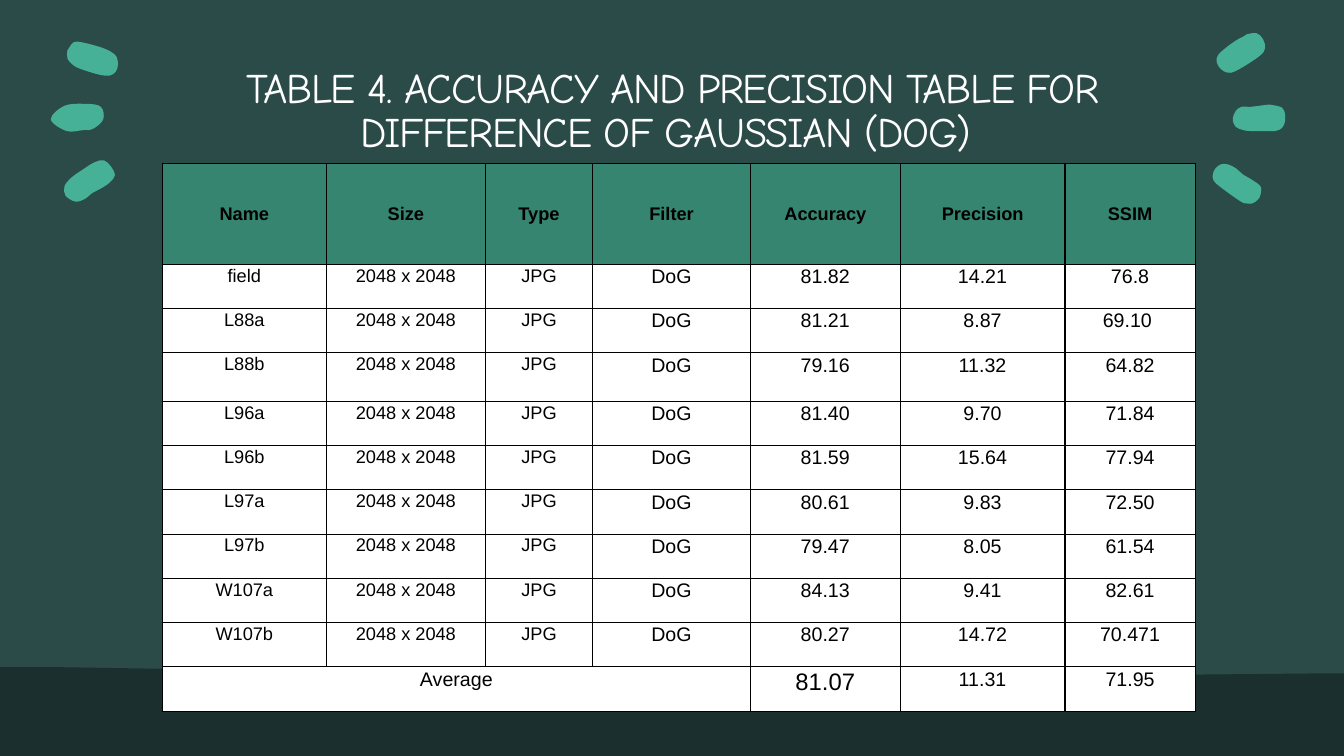
import pptx
import pptx.dml.color
import pptx.enum.shapes
import pptx.enum.text
import pptx.oxml
import pptx.oxml.ns
import pptx.util

Pt = pptx.util.Pt
RGBColor = pptx.dml.color.RGBColor
CENTER = pptx.enum.text.PP_ALIGN.CENTER
TOP = pptx.enum.text.MSO_ANCHOR.TOP

GROUND = RGBColor(0x1B, 0x2F, 0x2E)
WALL = RGBColor(0x2B, 0x4B, 0x49)
MINT = RGBColor(0x46, 0xB1, 0x96)
HEADER = RGBColor(0x35, 0x85, 0x70)
WHITE = RGBColor(0xFF, 0xFF, 0xFF)
BLACK = RGBColor(0x00, 0x00, 0x00)

TITLE = "TABLE 4. ACCURACY AND PRECISION TABLE FOR DIFFERENCE OF GAUSSIAN (DOG) "
HEADINGS = ["Name", "Size", "Type", "Filter", "Accuracy", "Precision", "SSIM"]
RESULTS = [
    ("field", "81.82", "14.21", "76.8"),
    ("L88a", "81.21", "8.87", "69.10 "),
    ("L88b", "79.16", "11.32", "64.82"),
    ("L96a", "81.40", "9.70", "71.84"),
    ("L96b", "81.59", "15.64", "77.94"),
    ("L97a", "80.61", "9.83", "72.50"),
    ("L97b", "79.47", "8.05", "61.54"),
    ("W107a", "84.13", "9.41", "82.61"),
    ("W107b", "80.27", "14.72", "70.471"),
]
AVERAGES = ["81.07", "11.31", "71.95"]
COLUMN_WIDTHS = [117.2, 113.6, 76.6, 112.8, 106.9, 117.8, 93]
ROW_HEIGHT = 31.62

GROUND_OUTLINE = [
    (0, 476.6), (43.9, 476.6), (231.8, 479.5), (331.9, 483.1), (396.7, 479.5),
    (576.7, 479.5), (727.2, 483.1), (943.9, 481), (960, 481), (960, 540), (0, 540),
]
DABS = [
    [(78.5, 130.3), (73.4, 133.9), (65.5, 138.2), (61.2, 141.8), (54, 144),
     (46.8, 139.7), (46.1, 133.2), (50.4, 127.4), (56.2, 123.1), (60.5, 120.2),
     (67.7, 115.9), (74.2, 114.5), (79.2, 118.8), (82.1, 125.3)],
    [(66.2, 92.2), (59.8, 92.9), (47.5, 93.6), (36.3, 85.2),
     (46.1, 75.6), (61.2, 74.2), (72, 76.3), (73.7, 85.3)],
    [(58.3, 30.2), (52.6, 30.2), (49.7, 33.8), (48.2, 36), (48.2, 41.8),
     (51.8, 46.1), (56.9, 49), (70.6, 53.3), (78.5, 54), (82.8, 51.1),
     (84.2, 46.8), (83.5, 41), (79.9, 37.4), (72, 33.8)],
    [(910.8, 93.6), (902.9, 93.6), (892.8, 93.6), (887.8, 92.9), (882.7, 90.7),
     (880.6, 86.4), (880.6, 84.2), (882.7, 79.2), (887, 76.3), (893.5, 76.3),
     (905, 74.9), (907.9, 74.9), (915.8, 77), (918, 82.1), (918, 86.4), (915.8, 91.4)],
    [(872.6, 36.7), (882, 29.5), (888.5, 25.9), (890.6, 24.5), (897.8, 23.8),
     (902.2, 28.1), (903.6, 34.6), (899.3, 40.3), (883.4, 50.4), (876.2, 51.8),
     (870.5, 47.5), (869, 41.8)],
    [(866.9, 128.9), (866.2, 125.3), (866.9, 122.4), (868.3, 120.2), (871.9, 117.4),
     (877, 117.4), (882.7, 120.2), (887.8, 124.6), (895, 128.9), (900.7, 133.9),
     (899.3, 141.8), (894.2, 145.4), (891.4, 145.4), (886.3, 144), (871.2, 133.2)],
]


def paint(shape, color):
    shape.shadow.inherit = False
    shape.fill.solid()
    shape.fill.fore_color.rgb = color
    shape.line.fill.background()


def add_outline(slide, points, color):
    points = [(Pt(x), Pt(y)) for x, y in points]
    builder = slide.shapes.build_freeform(*points[0])
    builder.add_line_segments(points[1:], close=True)
    shape = builder.convert_to_shape()
    paint(shape, color)
    return shape


def round_outline(shape):
    corners = shape.element.xpath(".//a:path//a:pt")
    points = [(int(corner.get("x")), int(corner.get("y"))) for corner in corners]
    count = len(points)
    closing = shape.element.xpath(".//a:path/a:close")[0]
    for line in shape.element.xpath(".//a:path/a:lnTo"):
        line.getparent().remove(line)
    for index in range(count):
        before, start, end, after = [points[(index + offset) % count] for offset in (-1, 0, 1, 2)]
        leaving = [s + (e - b) // 6 for b, s, e in zip(before, start, end)]
        arriving = [e - (a - s) // 6 for s, e, a in zip(start, end, after)]
        handles = "".join(f'<a:pt x="{x}" y="{y}"/>' for x, y in (leaving, arriving, end))
        closing.addprevious(pptx.oxml.parse_xml(
            f'<a:cubicBezTo {pptx.oxml.ns.nsdecls("a")}>{handles}</a:cubicBezTo>'))


def add_wall(slide, width, height):
    rectangle = pptx.enum.shapes.MSO_SHAPE.RECTANGLE
    wall = slide.shapes.add_shape(rectangle, 0, 0, width, height)
    paint(wall, WALL)
    slide.shapes.element.insert(2, wall.element)


def write(paragraph, text, size, font, color, bold=False):
    paragraph.alignment = CENTER
    run = paragraph.add_run()
    run.text = text
    run.font.size = Pt(size)
    run.font.name = font
    run.font.bold = bold
    run.font.color.rgb = color
    return run


def fill_title(slide):
    title = slide.shapes.title
    title.left, title.top, title.width, title.height = Pt(106.6), Pt(48.6), Pt(747.4), Pt(38.9)
    frame = title.text_frame
    frame.margin_left = frame.margin_right = frame.margin_top = frame.margin_bottom = 0
    frame.word_wrap = True
    frame.auto_size = pptx.enum.text.MSO_AUTO_SIZE.NONE
    frame.vertical_anchor = TOP
    paragraph = frame.paragraphs[0]
    paragraph.line_spacing = 0.88
    paragraph.space_before = Pt(0)
    run = write(paragraph, TITLE, 30, "Comic Neue", WHITE)
    run.font._element.set("spc", "-100")
    paragraph.add_line_break()


def add_borders(cell):
    properties = cell._tc.get_or_add_tcPr()
    for position, side in enumerate(("lnL", "lnR", "lnT", "lnB")):
        properties.insert(position, pptx.oxml.parse_xml(
            f'<a:{side} {pptx.oxml.ns.nsdecls("a")} w="12700"><a:solidFill>'
            f'<a:srgbClr val="{BLACK}"/></a:solidFill></a:{side}>'))


def fill_cell(cell, text, size, header=False, narrow=False):
    cell.margin_left = cell.margin_right = Pt(4.3 if narrow else 7.2)
    cell.margin_top = cell.margin_bottom = 0
    cell.vertical_anchor = TOP
    paragraph = cell.text_frame.paragraphs[0]
    paragraph.line_spacing = 3.0 if header else 1.07
    paragraph.space_before = Pt(0 if narrow else 12)
    paragraph.space_after = Pt(8)
    write(paragraph, text, size, "Arial", BLACK, header)


def add_results_table(slide):
    heights = [72] + [ROW_HEIGHT] * (len(RESULTS) + 1)
    heights[3] = 34.8
    frame = slide.shapes.add_table(
        len(heights), len(HEADINGS), Pt(115.9), Pt(116.7),
        Pt(sum(COLUMN_WIDTHS)), Pt(sum(heights)))
    table = frame.table
    for column, width in zip(table.columns, COLUMN_WIDTHS):
        column.width = Pt(width)
    for row, height in zip(table.rows, heights):
        row.height = Pt(height)
    for row_index, row in enumerate(table.rows):
        for cell in row.cells:
            cell.fill.solid()
            cell.fill.fore_color.rgb = WHITE if row_index else HEADER
            add_borders(cell)
    for column_index, heading in enumerate(HEADINGS):
        fill_cell(table.cell(0, column_index), heading, 13, header=True)
    for row_index, (name, *scores) in enumerate(RESULTS, 1):
        for column_index, text in enumerate([name, "2048 x 2048", "JPG", "DoG", *scores]):
            fill_cell(table.cell(row_index, column_index), text,
                      13 if column_index < 3 else 14, narrow=column_index > 3)
    last = len(heights) - 1
    table.cell(last, 0).merge(table.cell(last, 3))
    fill_cell(table.cell(last, 0), "Average", 14)
    for column_index, average in enumerate(AVERAGES, 4):
        fill_cell(table.cell(last, column_index), average,
                  17 if column_index == 4 else 14, narrow=True)


def main():
    presentation = pptx.Presentation()
    presentation.slide_width = Pt(960)
    presentation.slide_height = Pt(540)
    slide = presentation.slides.add_slide(presentation.slide_layouts[5])
    slide.background.fill.solid()
    slide.background.fill.fore_color.rgb = GROUND
    add_wall(slide, presentation.slide_width, presentation.slide_height)
    fill_title(slide)
    for dab in DABS:
        round_outline(add_outline(slide, dab, MINT))
    add_outline(slide, GROUND_OUTLINE, GROUND)
    add_results_table(slide)
    presentation.save("out.pptx")


if __name__ == "__main__":
    main()
